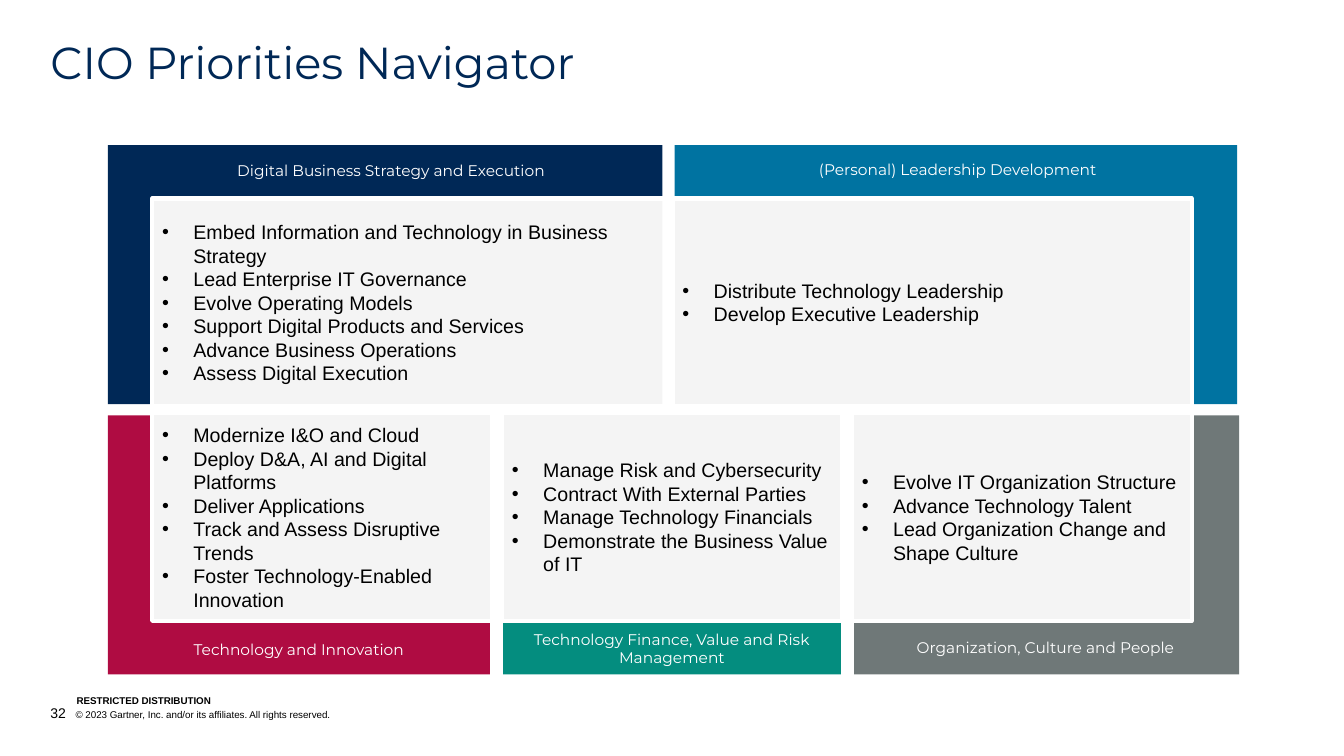
from dataclasses import dataclass

import pptx
import pptx.dml.color
import pptx.enum.shapes
import pptx.enum.text
import pptx.util
from lxml import etree
from pptx.oxml.ns import qn

Inches = pptx.util.Inches
ALIGN = pptx.enum.text.PP_ALIGN
ANCHOR = pptx.enum.text.MSO_ANCHOR


@dataclass(frozen=True)
class Theme:
    navy: str = "002856"
    blue: str = "0073A1"
    crimson: str = "AF0C42"
    teal: str = "048D7F"
    gray: str = "6F7878"
    panel: str = "F4F4F4"
    white: str = "FFFFFF"
    black: str = "000000"
    heading_font: str = "Montserrat"
    body_font: str = "Arial"
    title_size: float = 32
    body_size: float = 14
    label_size: float = 11
    page_size: float = 10
    footer_size: float = 7


THEME = Theme()
BAND_HEIGHT = 2.57
PANEL_HEIGHT = 2.06
PANEL_LEFT = 1.51
TOP_ROW, BOTTOM_ROW = 1.44, 4.12
TOP_PANELS, BOTTOM_PANELS = 1.97, 4.1
BOTTOM_PANEL_WIDTH, BOTTOM_PANEL_STEP = 3.37, 3.47

# Each area: colour, band (left, top, width), panel (left, top, width),
# label, label offset (x, y) from the band, label width, priorities
AREAS = [
    (THEME.navy, (1.07, TOP_ROW, 5.6), (PANEL_LEFT, TOP_PANELS, 5.12),
     "Digital Business Strategy and Execution", (0.02, 0.11), 5.58,
     ["Embed Information and Technology in Business Strategy",
      "Lead Enterprise IT Governance",
      "Evolve Operating Models",
      "Support Digital Products and Services",
      "Advance Business Operations",
      "Assess Digital Execution"]),
    (THEME.blue, (6.65, TOP_ROW, 5.62), (6.67, TOP_PANELS, 5.15),
     "(Personal) Leadership Development", (0.06, 0.1), 5.58,
     ["Distribute Technology Leadership",
      "Develop Executive Leadership"]),
    (THEME.crimson, (1.07, BOTTOM_ROW, 3.79),
     (PANEL_LEFT, BOTTOM_PANELS, BOTTOM_PANEL_WIDTH),
     "Technology and Innovation", (0.01, 2.18), 3.77,
     ["Modernize I&O and Cloud",
      "Deploy D&A, AI and Digital Platforms",
      "Deliver Applications",
      "Track and Assess Disruptive Trends",
      "Foster Technology-Enabled Innovation"]),
    (THEME.teal, (4.99, BOTTOM_ROW, 3.35),
     (PANEL_LEFT + BOTTOM_PANEL_STEP, BOTTOM_PANELS, BOTTOM_PANEL_WIDTH),
     "Technology Finance, Value and Risk Management", (0.01, 2.08), 3.33,
     ["Manage Risk and Cybersecurity",
      "Contract With External Parties",
      "Manage Technology Financials",
      "Demonstrate the Business Value of IT"]),
    (THEME.gray, (8.47, BOTTOM_ROW, 3.82),
     (PANEL_LEFT + 2 * BOTTOM_PANEL_STEP, BOTTOM_PANELS, BOTTOM_PANEL_WIDTH),
     "Organization, Culture and People", (0, 2.16), 3.8,
     ["Evolve IT Organization Structure",
      "Advance Technology Talent",
      "Lead Organization Change and Shape Culture"]),
]


def rgb(color):
    return pptx.dml.color.RGBColor.from_string(color)


def set_all(target, values):
    for name, value in values.items():
        setattr(target, name, value)


def add_run(paragraph, text, size, color=THEME.black, font=THEME.body_font, bold=False):
    run = paragraph.add_run()
    run.text = text
    set_all(run.font, {"size": pptx.util.Pt(size), "name": font, "bold": bold})
    run.font.color.rgb = rgb(color)


def add_rectangle(slide, box, fill, outline=None):
    shape = slide.shapes.add_shape(
        pptx.enum.shapes.MSO_SHAPE.RECTANGLE, *map(Inches, box))
    shape.shadow.inherit = False
    shape.fill.solid()
    shape.fill.fore_color.rgb = rgb(fill)
    if outline:
        shape.line.color.rgb = rgb(outline)
        shape.line.width = pptx.util.Pt(3)
    else:
        shape.line.fill.background()
    return shape


def add_text_box(slide, box, margins=(0, 0), anchor=ANCHOR.TOP):
    """Add a wrapping text box and return its first paragraph."""
    frame = slide.shapes.add_textbox(*map(Inches, box)).text_frame
    across, down = map(Inches, margins)
    set_all(frame, {"word_wrap": True, "vertical_anchor": anchor,
                    "margin_left": across, "margin_right": across,
                    "margin_top": down, "margin_bottom": down})
    return frame.paragraphs[0]


def set_hanging_indent(paragraph, indent):
    properties = paragraph._p.get_or_add_pPr()
    properties.set("marL", str(Inches(indent)))
    properties.set("indent", str(-Inches(indent)))
    return properties


def add_bullet(paragraph):
    properties = set_hanging_indent(paragraph, 0.31)
    color = etree.SubElement(properties, qn("a:buClr"))
    etree.SubElement(color, qn("a:srgbClr"), val=THEME.black)
    etree.SubElement(properties, qn("a:buFont"), typeface=THEME.body_font)
    etree.SubElement(properties, qn("a:buChar"), char="•")


def add_panel(slide, box, priorities):
    frame = add_rectangle(slide, box, THEME.panel, THEME.white).text_frame
    set_all(frame, {"word_wrap": True, "vertical_anchor": ANCHOR.MIDDLE})
    for index, priority in enumerate(priorities):
        paragraph = frame.add_paragraph() if index else frame.paragraphs[0]
        add_bullet(paragraph)
        paragraph.alignment = ALIGN.LEFT
        add_run(paragraph, priority, THEME.body_size)


def add_area(slide, color, band, panel, label, offset, label_width, priorities):
    left, top, width = band
    add_rectangle(slide, (left, top, width, BAND_HEIGHT), color)
    add_panel(slide, (*panel, PANEL_HEIGHT), priorities)
    label_box = (left + offset[0], top + offset[1], label_width, 0.29)
    paragraph = add_text_box(slide, label_box, (0.1, 0.05))
    paragraph.alignment = ALIGN.CENTER
    add_run(paragraph, label, THEME.label_size, THEME.white, THEME.heading_font)


def add_title(slide, box):
    paragraph = add_text_box(slide, box)
    paragraph.line_spacing = 0.9
    add_run(paragraph, "CIO Priorities Navigator", THEME.title_size,
            THEME.navy, THEME.heading_font)


def add_footer(slide, box):
    left, top, width, height = box
    notice = add_text_box(slide, (left + 0.26, top, 2.53, 0.12), anchor=ANCHOR.BOTTOM)
    add_run(notice, "RESTRICTED DISTRIBUTION", THEME.footer_size, bold=True)
    page_line = add_text_box(slide, (left, top + 0.1, width, height - 0.1),
                             anchor=ANCHOR.BOTTOM)
    set_hanging_indent(page_line, 0.25)
    add_run(page_line, "32", THEME.page_size)
    add_run(page_line, "\t© 2023 Gartner, Inc. and/or its affiliates. All rights reserved.",
            THEME.footer_size)


def main():
    presentation = pptx.Presentation()
    set_all(presentation, {"slide_width": Inches(13.33), "slide_height": Inches(7.5)})
    slide = presentation.slides.add_slide(presentation.slide_layouts[6])
    add_footer(slide, (0.5, 6.89, 7.99, 0.27))
    add_title(slide, (0.5, 0.4, 12.33, 0.48))
    for area in AREAS:
        add_area(slide, *area)
    add_rectangle(slide, (6.57, TOP_ROW, 0.12, 2.65), THEME.white)
    presentation.save("out.pptx")


if __name__ == "__main__":
    main()
